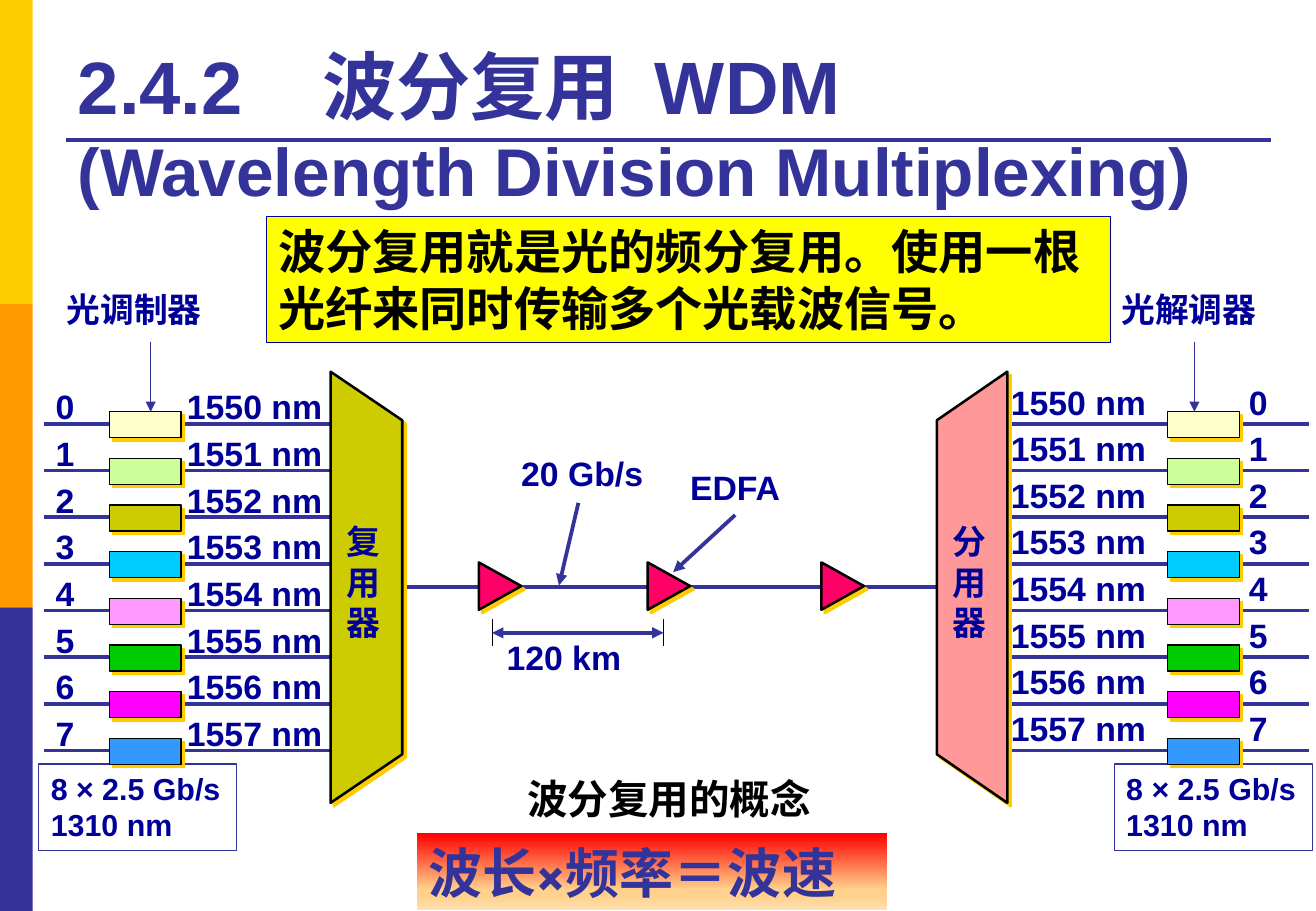
from dataclasses import dataclass

from lxml import etree
from pptx import Presentation
from pptx.dml.color import RGBColor
from pptx.enum.shapes import MSO_CONNECTOR, MSO_SHAPE
from pptx.enum.text import MSO_ANCHOR, MSO_AUTO_SIZE, PP_ALIGN
from pptx.oxml.ns import qn
from pptx.util import Inches, Pt

RECT = MSO_SHAPE.RECTANGLE
TRIANGLE = MSO_SHAPE.ISOSCELES_TRIANGLE
STRAIGHT = MSO_CONNECTOR.STRAIGHT
LEFT, CENTER = PP_ALIGN.LEFT, PP_ALIGN.CENTER
TOP, BOTTOM = MSO_ANCHOR.TOP, MSO_ANCHOR.BOTTOM
NO_FIT = MSO_AUTO_SIZE.NONE


@dataclass(frozen=True)
class Theme:
    font: str = "Arial"
    formula_font: str = "Karla"
    indigo: str = "333399"
    navy: str = "000099"
    black: str = "000000"
    gold: str = "FFCC00"
    orange: str = "FF9900"
    yellow: str = "FFFF00"
    amplifier: str = "FF0066"
    multiplexer: str = "CCCC00"
    demultiplexer: str = "FF9999"
    channels: tuple = ("FFFFCC", "CCFF99", "CCCC00", "00CCFF",
                       "FF99FF", "00CC00", "FF00FF", "3399FF")
    gradient: tuple = ((0, "FF0000"), (74, "FFD18C"), (83, "FFD18C"), (100, "FFE0B2"))
    title: int = 44
    subtitle: int = 40
    formula: int = 32
    statement: int = 28
    caption: int = 24
    label: int = 20
    note: int = 18
    hairline: float = 0.75
    outline: float = 1.5
    wire: float = 2.25


THEME = Theme()
COLUMNS, ROWS = 108.3, 75
CELL = Inches(0.1)
LANE_TOP, LANE_PITCH = 34.9, 3.84
FIBRE_ROW = 48.3


def grid(*cells):
    return [round(cell * CELL) for cell in cells]


def rgb(code):
    return RGBColor.from_string(code)


def add_span(para, words, size, color, font=THEME.font):
    span = para.add_run()
    span.text = words
    span.font.name = font
    span.font.size = Pt(size)
    span.font.bold = True
    span.font.color.rgb = rgb(color)


def set_tabs(para, stops):
    tab_list = etree.SubElement(para._p.get_or_add_pPr(), qn("a:tabLst"))
    for stop in grid(*stops):
        etree.SubElement(tab_list, qn("a:tab"), pos=str(stop), algn="l")


def write(box, lines, size, color=THEME.navy, font=THEME.font, align=LEFT,
          wrap=True, spacing=None, stops=()):
    frame = box.text_frame
    frame.word_wrap = wrap
    frame.vertical_anchor = TOP
    for index, words in enumerate(lines):
        para = frame.add_paragraph() if index else frame.paragraphs[0]
        para.alignment = align
        if spacing:
            para.line_spacing = spacing
        if stops:
            set_tabs(para, stops)
        add_span(para, words, size, color, font)


def add_label(page, cells, lines, size=THEME.label, **style):
    write(page.shapes.add_textbox(*grid(*cells)), lines, size, **style)


def paint(shape, fill=None, line=None, width=THEME.hairline, shadow=False):
    if fill:
        shape.fill.solid()
        shape.fill.fore_color.rgb = rgb(fill)
    else:
        shape.fill.background()
    if line:
        shape.line.color.rgb = rgb(line)
        shape.line.width = Pt(width)
    else:
        shape.line.fill.background()
    shape.shadow.inherit = False
    if shadow:
        effects = shape._element.spPr.find(qn("a:effectLst"))
        outer = etree.SubElement(effects, qn("a:outerShdw"), blurRad="0", dist=str(Pt(2.8)),
                                 dir="2700000", algn="ctr", rotWithShape="0")
        etree.SubElement(outer, qn("a:srgbClr"), val=THEME.gold)


def add_block(page, cells, kind=RECT, **look):
    shape = page.shapes.add_shape(kind, *grid(*cells))
    paint(shape, **look)
    return shape


def add_wire(page, start, end, color=THEME.indigo, width=THEME.wire, arrows=()):
    wire = page.shapes.add_connector(STRAIGHT, *grid(*start, *end))
    wire.line.color.rgb = rgb(color)
    wire.line.width = Pt(width)
    for tip in arrows:
        etree.SubElement(wire.line._get_or_add_ln(), qn(f"a:{tip}"), type="triangle")
    etree.SubElement(wire._element.spPr, qn("a:effectLst"))


def add_trapezoid(page, wide, narrow, fill):
    corners = [grid(*corner) for corner in
               ((wide, 30.6), (narrow, 34.6), (narrow, 62.1), (wide, 66.1))]
    builder = page.shapes.build_freeform(*corners[0])
    builder.add_line_segments(corners[1:], close=True)
    paint(builder.convert_to_shape(), fill, THEME.black, THEME.outline, True)


def add_title(page):
    title = page.shapes.title
    title.left, title.top, title.width, title.height = grid(5.4, 2.1, 99.1, 15.7)
    frame = title.text_frame
    frame.auto_size = NO_FIT
    frame.vertical_anchor = BOTTOM
    para = frame.paragraphs[0]
    para.alignment = LEFT
    set_tabs(para, (20.1, 47.5))
    add_span(para, "2.4.2\t波分复用\tWDM", THEME.title, THEME.indigo)
    para.add_line_break()
    add_span(para, "(Wavelength Division Multiplexing)", THEME.subtitle, THEME.indigo)


def add_backdrop(page):
    for index, color in enumerate((THEME.gold, THEME.orange, THEME.indigo)):
        add_block(page, (0, index * ROWS / 3, 2.7, ROWS / 3), fill=color)
    add_wire(page, (5.4, 11.5), (104.6, 11.5))


def add_terminal(page, name, name_left, wire_left, block_left, note_left,
                 labels, labels_at, stop):
    add_label(page, labels_at, labels, spacing=Pt(LANE_PITCH * 7.2), stops=(stop,))
    note = add_block(page, (note_left, 62.9, 16.3, 7.1), line=THEME.indigo)
    write(note, ("8 × 2.5 Gb/s", "1310 nm"), THEME.note)
    for index, color in enumerate(THEME.channels):
        row = LANE_TOP + index * LANE_PITCH
        add_wire(page, (wire_left, row), (wire_left + 24.8, row))
        add_block(page, (block_left, row - 1, 5.9, 2.15),
                  fill=color, line=THEME.black, shadow=True)
    add_label(page, (name_left, 23.3, 13.3, 4.4), (name,), wrap=False)
    pointer = block_left + 3.4 if block_left < COLUMNS / 2 else block_left + 2.2
    add_wire(page, (pointer, 28.2), (pointer, 33.9), width=THEME.hairline, arrows=("tailEnd",))


def add_fibre(page):
    add_wire(page, (29, FIBRE_ROW), (82.3, FIBRE_ROW))
    for left in (39.2, 53.1, 67.4):
        amplifier = add_block(page, (left, 46.5, 3.9, 3.5), TRIANGLE, fill=THEME.amplifier,
                              line=THEME.black, width=THEME.outline, shadow=True)
        amplifier.rotation = 90
    add_trapezoid(page, 27.2, 33.1, THEME.multiplexer)
    add_trapezoid(page, 82.9, 77.1, THEME.demultiplexer)
    for left, name in ((27.5, "复用器"), (77.4, "分用器")):
        add_label(page, (left, 42.4, 4.8, 11.1), name, wrap=False)
    for left, top, width, words in ((41.9, 36.8, 12.1, "20 Gb/s"),
                                    (55.8, 37.9, 9.5, "EDFA"),
                                    (40.7, 51.9, 11.5, "120 km")):
        add_label(page, (left, top, width, 4.4), (words,), wrap=False)
    add_wire(page, (47.6, 41.4), (46, 48.2), arrows=("tailEnd",))
    add_wire(page, (60.5, 42.4), (55.4, 47.1), arrows=("tailEnd",))
    for column in (40.5, 54.6):
        add_wire(page, (column, 51), (column, 53.2), THEME.black, THEME.hairline)
    add_wire(page, (40.5, 52.1), (54.6, 52.1), arrows=("headEnd", "tailEnd"))


def add_formula(page):
    banner = add_block(page, (34.3, 68.6, 38.7, 6.3))
    banner.fill.gradient()
    banner.fill.gradient_angle = 270
    stops = banner._element.spPr.find(".//" + qn("a:gsLst"))
    stops.clear()
    for share, color in THEME.gradient:
        stop = etree.SubElement(stops, qn("a:gs"), pos=str(share * 1000))
        etree.SubElement(stop, qn("a:srgbClr"), val=color)
    write(banner, ("波长×频率＝波速",), THEME.formula, THEME.indigo, THEME.formula_font)


def main():
    deck = Presentation()
    deck.slide_width, deck.slide_height = grid(COLUMNS, ROWS)
    page = deck.slides.add_slide(deck.slide_layouts[5])
    add_backdrop(page)
    add_title(page)
    statement = add_block(page, (21.9, 17.8, 69.5, 10.4), fill=THEME.yellow, line=THEME.navy)
    write(statement, ("波分复用就是光的频分复用。使用一根光纤来同时传输多个光载波信号。",),
          THEME.statement, THEME.black)
    lanes = range(len(THEME.channels))
    add_terminal(page, "光调制器", 4.5, 3.6, 9, 3.2,
                 [f"{lane}\t{1550 + lane} nm" for lane in lanes],
                 (3.6, 30.8, 27.1, 32), 10.8)
    add_terminal(page, "光解调器", 91.3, 82.9, 96.1, 91.7,
                 [f"{1550 + lane} nm\t{lane}" for lane in lanes],
                 (82.2, 30.4, 24.8, 32), 19.6)
    add_fibre(page)
    add_label(page, (33.1, 63.2, 43.9, 5), ("波分复用的概念",), THEME.caption,
              color=THEME.black, align=CENTER)
    add_formula(page)
    deck.save("out.pptx")


if __name__ == "__main__":
    main()
